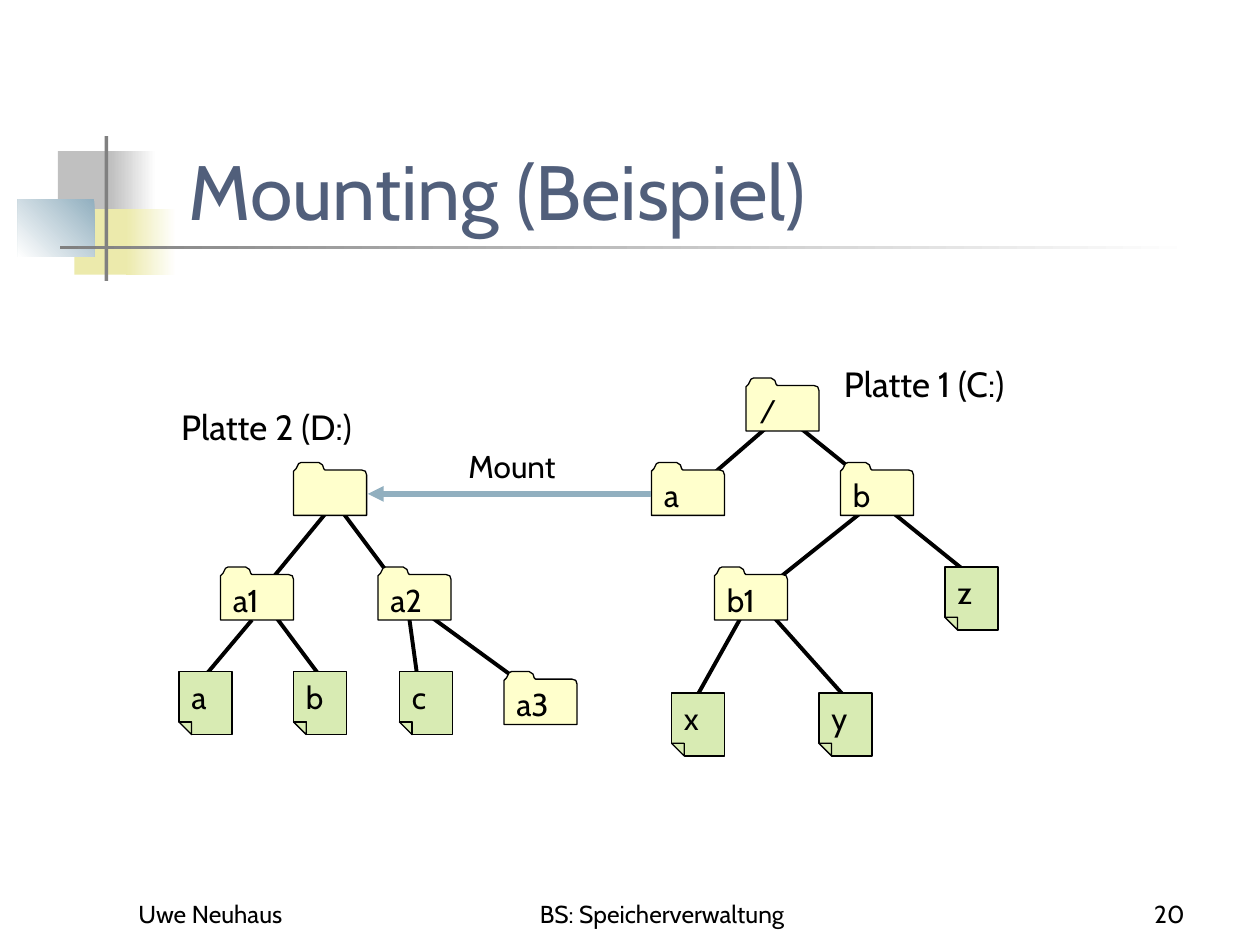
from dataclasses import dataclass

from lxml import etree
from pptx import Presentation
from pptx.dml.color import RGBColor
from pptx.enum.shapes import MSO_CONNECTOR, MSO_SHAPE
from pptx.enum.text import MSO_ANCHOR, PP_ALIGN
from pptx.oxml.ns import qn
from pptx.util import Inches, Pt

STRAIGHT = MSO_CONNECTOR.STRAIGHT
RECTANGLE = MSO_SHAPE.RECTANGLE
TOP, BOTTOM = MSO_ANCHOR.TOP, MSO_ANCHOR.BOTTOM
LEFT, CENTER, RIGHT = PP_ALIGN.LEFT, PP_ALIGN.CENTER, PP_ALIGN.RIGHT


@dataclass(frozen=True)
class Theme:
    font: str = "Cabin"
    code_font: str = "Courier New"
    black: str = "000000"
    white: str = "FFFFFF"
    silver: str = "C0C0C0"
    gray: str = "808080"
    yellow: str = "ECEAAC"
    blue: str = "91AFBF"
    title: str = "515F7B"
    folder: str = "FFFFCC"
    file: str = "D8EBB3"
    title_size: int = 44
    disk_size: int = 20
    label_size: int = 18
    footer_size: int = 14
    outline: float = 0.75
    branch: float = 2.25
    mount: float = 3


@dataclass(frozen=True)
class Band:
    left: float
    top: float
    width: float
    height: float
    start: str
    end: str | None = None
    angle: int = 180


@dataclass(frozen=True)
class Icon:
    contours: tuple
    fill: str
    text_top: float


@dataclass(frozen=True)
class Node:
    icon: Icon
    left: float
    top: float
    name: str = ""
    font: str = "Cabin"


@dataclass(frozen=True)
class Line:
    start: tuple[float, float]
    end: tuple[float, float]


@dataclass(frozen=True)
class Label:
    text: str
    left: float
    top: float
    width: float
    height: float
    size: int
    color: str = "000000"
    align: PP_ALIGN = LEFT
    anchor: MSO_ANCHOR = TOP


THEME = Theme()

# Outlines are in hundredths of an inch.
FOLDER = Icon(
    (((0, 7), (0, 42), (58, 42), (58, 10), (57, 7), (54, 6), (25, 6), (24, 5),
      (23, 2), (20, 0), (6, 0), (4, 1), (2, 5)),),
    THEME.folder, 0.11)
FILE = Icon(
    (((0, 0), (42, 0), (42, 50), (10, 50), (10, 40), (0, 40)),
     ((0, 40), (10, 40), (10, 50))),
    THEME.file, 0.05)

BANDS = (
    Band(0.46, 1.2, 0.48, 0.52, THEME.silver),
    Band(0.88, 1.2, 0.36, 0.52, THEME.white, THEME.silver),
    Band(0.59, 1.66, 0.46, 0.52, THEME.yellow),
    Band(1, 1.66, 0.4, 0.52, THEME.white, THEME.yellow),
    Band(0.14, 1.58, 0.61, 0.46, THEME.blue, THEME.white, 225),
    Band(0.83, 1.08, 0.03, 1.15, THEME.gray),
    Band(0.48, 1.95, 9, 0.03, THEME.white, THEME.gray),
)
BRANCHES = (
    Line((7, 4), (7.83, 4.67)),
    Line((6.17, 3.25), (7, 3.92)),
    Line((6.25, 3.25), (5.58, 3.83)),
    Line((6.92, 4), (6.08, 4.67)),
    Line((6.08, 4.83), (6.75, 5.58)),
    Line((5.92, 4.83), (5.5, 5.58)),
    Line((3.33, 4.83), (4.25, 5.5)),
    Line((3.25, 4.92), (3.33, 5.5)),
    Line((2.67, 4), (3.17, 4.67)),
    Line((2.58, 4.08), (2.17, 4.58)),
    Line((2.58, 5.42), (2.08, 4.75)),
    Line((2, 4.92), (1.58, 5.42)),
)
NODES = (
    Node(FOLDER, 5.92, 3, "/", THEME.code_font),
    Node(FILE, 5.33, 5.5, "x"),
    Node(FOLDER, 6.67, 3.67, "b"),
    Node(FOLDER, 5.17, 3.67, "a"),
    Node(FOLDER, 5.67, 4.5, "b1"),
    Node(FOLDER, 4, 5.33, "a3"),
    Node(FOLDER, 3, 4.5, "a2"),
    Node(FOLDER, 1.75, 4.5, "a1"),
    Node(FOLDER, 2.33, 3.67),
    Node(FILE, 6.5, 5.5, "y"),
    Node(FILE, 3.17, 5.33, "c"),
    Node(FILE, 2.33, 5.33, "b"),
    Node(FILE, 1.42, 5.33, "a"),
    Node(FILE, 7.5, 4.5, "z"),
)
MOUNT = Line((5.17, 3.92), (2.92, 3.92))
LABELS = (
    Label(" Mounting (Beispiel)", 1.26, 0.67, 8.52, 1.25, THEME.title_size,
          THEME.title, anchor=BOTTOM),
    Label("Platte 1 (C:)", 6.6, 2.83, 1.67, 0.44, THEME.disk_size),
    Label("Platte 2 (D:)", 1.34, 3.17, 1.7, 0.44, THEME.disk_size),
    Label("Mount", 3.62, 3.5, 0.97, 0.4, THEME.label_size),
    Label("BS: Speicherverwaltung", 3.67, 6.92, 3.17, 0.5, THEME.footer_size,
          align=CENTER, anchor=BOTTOM),
    Label("20", 7.42, 6.92, 2.08, 0.5, THEME.footer_size,
          align=RIGHT, anchor=BOTTOM),
    Label("Uwe Neuhaus", 1, 6.92, 2.08, 0.5, THEME.footer_size, anchor=BOTTOM),
)


def rgb(color: str) -> RGBColor:
    return RGBColor.from_string(color)


def write_text(shape, text: str, size: int, color: str, font: str = THEME.font,
               align: PP_ALIGN = LEFT, anchor: MSO_ANCHOR = TOP) -> None:
    frame = shape.text_frame
    frame.word_wrap = True
    frame.vertical_anchor = anchor
    paragraph = frame.paragraphs[0]
    paragraph.text = text
    paragraph.alignment = align
    paragraph.font.name = font
    paragraph.font.size = Pt(size)
    paragraph.font.color.rgb = rgb(color)


def draw_band(slide, band: Band) -> None:
    shape = slide.shapes.add_shape(
        RECTANGLE, Inches(band.left), Inches(band.top),
        Inches(band.width), Inches(band.height))
    shape.shadow.inherit = False
    shape.line.fill.background()
    if band.end is None:
        shape.fill.solid()
        shape.fill.fore_color.rgb = rgb(band.start)
        return
    shape.fill.gradient()
    shape.fill.gradient_angle = band.angle
    for stop, color in zip(shape.fill.gradient_stops, (band.start, band.end)):
        stop.color.rgb = rgb(color)


def draw_line(slide, line: Line, color: str, width: float, arrow: bool = False) -> None:
    ends = [Inches(value) for value in (*line.start, *line.end)]
    connector = slide.shapes.add_connector(STRAIGHT, *ends)
    connector.line.color.rgb = rgb(color)
    connector.line.width = Pt(width)
    if arrow:
        outline = connector.line._get_or_add_ln()
        etree.SubElement(outline, qn("a:tailEnd"), type="triangle")
    etree.SubElement(connector._element.spPr, qn("a:effectLst"))


def draw_node(slide, node: Node) -> None:
    first, *others = node.icon.contours
    builder = slide.shapes.build_freeform(*first[0], scale=Inches(0.01))
    builder.add_line_segments(first[1:])
    for contour in others:
        builder.move_to(*contour[0])
        builder.add_line_segments(contour[1:])
    shape = builder.convert_to_shape(Inches(node.left), Inches(node.top))
    shape.shadow.inherit = False
    shape.fill.solid()
    shape.fill.fore_color.rgb = rgb(node.icon.fill)
    shape.line.color.rgb = rgb(THEME.black)
    shape.line.width = Pt(THEME.outline)
    if node.name:
        shape.text_frame.margin_top = Inches(node.icon.text_top)
        write_text(shape, node.name, THEME.label_size, THEME.black, node.font)


def draw_label(slide, label: Label) -> None:
    shape = slide.shapes.add_textbox(
        Inches(label.left), Inches(label.top), Inches(label.width), Inches(label.height))
    write_text(shape, label.text, label.size, label.color,
               align=label.align, anchor=label.anchor)


def main() -> None:
    presentation = Presentation()
    presentation.slide_width, presentation.slide_height = Inches(10), Inches(7.5)
    slide = presentation.slides.add_slide(presentation.slide_layouts[6])
    for band in BANDS:
        draw_band(slide, band)
    for branch in BRANCHES:
        draw_line(slide, branch, THEME.black, THEME.branch)
    for node in NODES:
        draw_node(slide, node)
    draw_line(slide, MOUNT, THEME.blue, THEME.mount, arrow=True)
    for label in LABELS:
        draw_label(slide, label)
    presentation.save("out.pptx")


if __name__ == "__main__":
    main()
